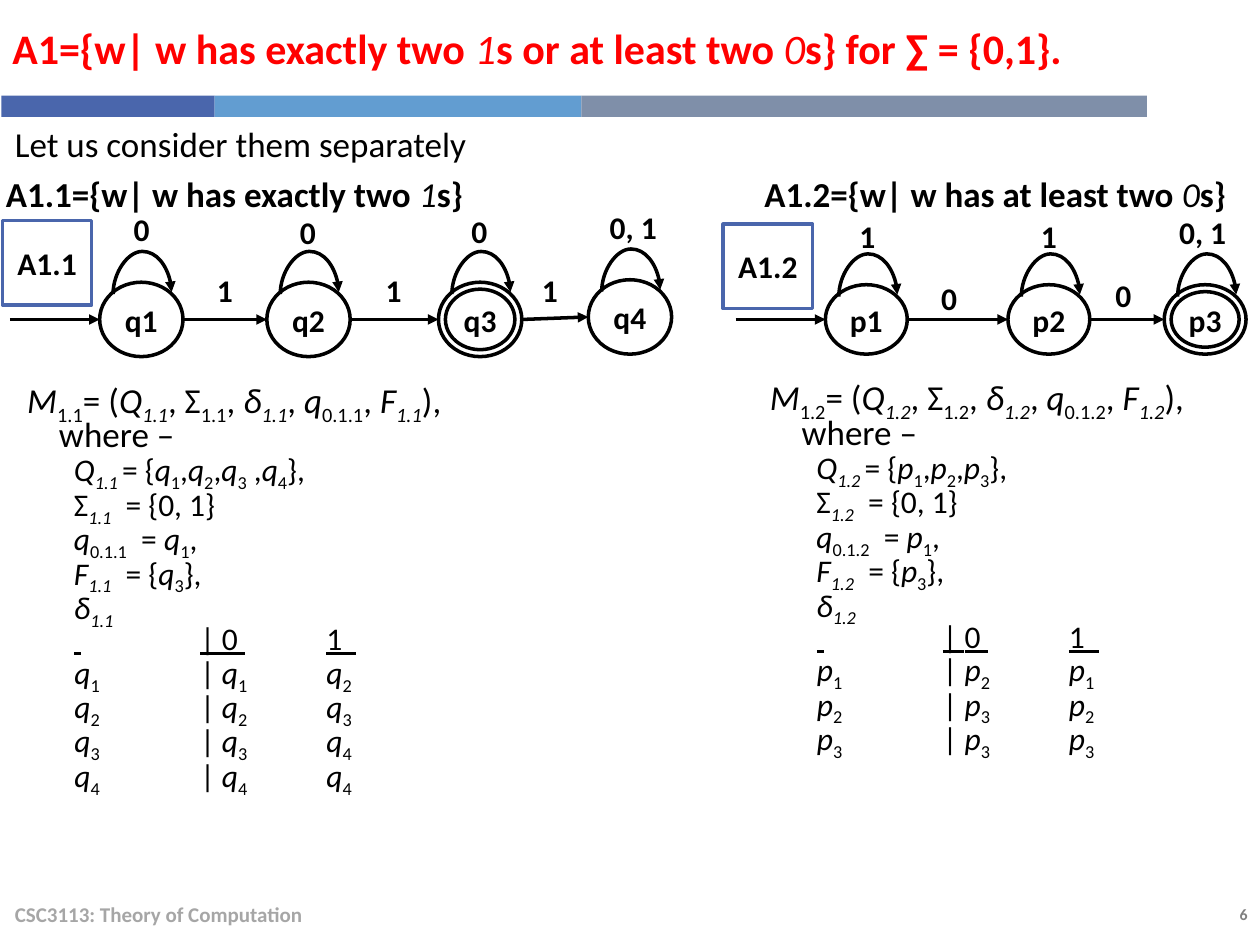
from dataclasses import dataclass
from typing import Optional

from lxml import etree
from pptx import Presentation
from pptx.dml.color import RGBColor
from pptx.enum import shapes, text
from pptx.oxml import ns
from pptx.util import Cm, Inches, Pt

BLACK = RGBColor(0x00, 0x00, 0x00)
WHITE = RGBColor(0xFF, 0xFF, 0xFF)
RED = RGBColor(0xFF, 0x00, 0x00)
BLUE = RGBColor(0x4A, 0x66, 0xAC)
SKY = RGBColor(0x62, 0x9D, 0xD1)
SLATE = RGBColor(0x7F, 0x8F, 0xA9)
GREY = RGBColor(0x80, 0x80, 0x80)
LIGHT_GREY = RGBColor(0xA6, 0xA6, 0xA6)
LEFT, CENTER, RIGHT = text.PP_ALIGN.LEFT, text.PP_ALIGN.CENTER, text.PP_ALIGN.RIGHT
TOP, MIDDLE = text.MSO_ANCHOR.TOP, text.MSO_ANCHOR.MIDDLE
OVAL, RECTANGLE = shapes.MSO_SHAPE.OVAL, shapes.MSO_SHAPE.RECTANGLE
STRAIGHT, CURVE = shapes.MSO_CONNECTOR.STRAIGHT, shapes.MSO_CONNECTOR.CURVE
LABEL_WIDTH, LABEL_HEIGHT = 1.65, 1.14


# All lengths in the data are centimetres
@dataclass
class Label:
    text: str
    left: float
    top: float


@dataclass
class State:
    name: str
    left: float
    top: float
    loop: Label
    accepting: bool = False


@dataclass
class Machine:
    tag: Label
    entry: float
    width: float
    height: float
    states: list[State]
    edges: list[Label]
    heading: str
    heading_left: float
    heading_width: float
    version: str
    letter: str
    table: list[tuple[int, int]]
    definition: tuple[float, float, float, float]


MACHINES = [
    Machine(Label("A1.1", 0.05, 4.45), 0.2, 1.68, 1.5,
            [State("q1", 2.01, 5.69, Label("0", 2.03, 4.04)),
             State("q2", 5.38, 5.69, Label("0", 5.38, 4.11)),
             State("q3", 8.84, 5.69, Label("0", 8.84, 4.09), True),
             State("q4", 11.86, 5.64, Label("0, 1", 11.94, 4.01))],
            [Label("1", left, 5.28) for left in (3.71, 7.11, 10.26)],
            "A1.1={w| w has exactly two #~1~#s}", -0.13, 10.36,
            "1.1", "q", [(1, 2), (2, 3), (3, 4), (4, 4)], (0.3, 7.59, 10.62, 7.8)),
    Machine(Label("A1.2", 14.58, 4.52), 14.83, 1.65, 1.4,
            [State("p1", 16.64, 5.74, Label("1", 16.66, 4.19)),
             State("p2", 20.32, 5.74, Label("1", 20.32, 4.19)),
             State("p3", 23.47, 5.74, Label("0, 1", 23.42, 4.11), True)],
            [Label("0", 18.31, 5.44), Label("0", 21.82, 5.38)],
            "A1.2={w| w has at least two #~0~#s}", 15.16, 10.1,
            "1.2", "p", [(2, 1), (3, 2), (3, 3)], (15.27, 7.54, 9.78, 7.19)),
]


def write_markup(paragraph, markup: str, size: float, color: RGBColor, bold: bool = False) -> None:
    """Marks toggle a style: ~ italic, ^ subscript, ` underline, # bold; a newline breaks."""
    styles = {"~": False, "^": False, "`": False, "#": bold}
    pending = ""

    def flush() -> None:
        if not pending:
            return
        run = paragraph.add_run()
        run.text = pending
        font = run.font
        font.name, font.size, font.color.rgb = "Calibri", Pt(size), color
        font.italic, font.underline, font.bold = styles["~"], styles["`"], styles["#"]
        if styles["^"]:
            font._element.set("baseline", "-25000")

    for mark in markup:
        if mark in styles or mark == "\n":
            flush()
            pending = ""
            if mark == "\n":
                paragraph.add_line_break()
            else:
                styles[mark] = not styles[mark]
        else:
            pending += mark
    flush()


def add_text(slide, markup: str, left: float, top: float, width: float, height: float,
             size: float, color: RGBColor = BLACK, bold: bool = True,
             align=LEFT, anchor=TOP, wrap: bool = True):
    frame = slide.shapes.add_textbox(Cm(left), Cm(top), Cm(width), Cm(height)).text_frame
    frame.word_wrap, frame.vertical_anchor = wrap, anchor
    paragraph = frame.paragraphs[0]
    paragraph.alignment = align
    write_markup(paragraph, markup, size, color, bold)
    return frame


def add_label(slide, label: Label) -> None:
    add_text(slide, label.text, label.left, label.top, LABEL_WIDTH, LABEL_HEIGHT, 18,
             align=CENTER, anchor=MIDDLE)


def add_box(slide, kind, left: float, top: float, width: float, height: float,
            fill: Optional[RGBColor], line: Optional[RGBColor] = None, name: str = "") -> None:
    shape = slide.shapes.add_shape(kind, Cm(left), Cm(top), Cm(width), Cm(height))
    shape.shadow.inherit = False
    if fill is None:
        shape.fill.background()
    else:
        shape.fill.solid()
        shape.fill.fore_color.rgb = fill
    if line is None:
        shape.line.fill.background()
    else:
        shape.line.color.rgb, shape.line.width = line, Pt(2)
    if name:
        frame = shape.text_frame
        frame.word_wrap, frame.vertical_anchor = False, MIDDLE
        frame.paragraphs[0].alignment = CENTER
        write_markup(frame.paragraphs[0], name, 18, BLACK, True)


def add_arrow(slide, kind, x1: float, y1: float, x2: float, y2: float):
    connector = slide.shapes.add_connector(kind, Cm(x1), Cm(y1), Cm(x2), Cm(y2))
    connector.line.color.rgb, connector.line.width = BLACK, Pt(2)
    etree.SubElement(connector.line._get_or_add_ln(), ns.qn("a:tailEnd"), type="triangle")
    etree.SubElement(connector._element.spPr, ns.qn("a:effectLst"))
    return connector


def add_loop(slide, state: State) -> None:
    """A curved connector turned by 90 degrees, arching above the state."""
    span, drop, rise = 1.18, 0.04, 0.86
    x, y = state.left + 0.27 + span / 2, state.top + 0.22
    connector = add_arrow(slide, CURVE, x + drop / 2, y + span / 2, x - drop / 2, y - span / 2)
    properties = connector._element.spPr
    properties.find(ns.qn("a:xfrm")).set("rot", "5400000")
    adjustments = properties.find(ns.qn("a:prstGeom")).find(ns.qn("a:avLst"))
    etree.SubElement(adjustments, ns.qn("a:gd"), name="adj1",
                     fmla=f"val {round(rise / drop * 100000)}")


def add_diagram(slide, machine: Machine) -> None:
    width, height, inset = machine.width, machine.height, 0.14
    add_box(slide, RECTANGLE, machine.tag.left, machine.tag.top, 1.8, 1.7, WHITE, BLUE,
            machine.tag.text)
    start, start_y = machine.entry, machine.states[0].top + height / 2
    for state in machine.states:
        middle = state.top + height / 2
        add_box(slide, OVAL, state.left, state.top, width, height, WHITE, BLACK, state.name)
        if state.accepting:
            add_box(slide, OVAL, state.left + inset, state.top + inset,
                    width - 2 * inset, height - 2 * inset, None, BLACK)
        add_arrow(slide, STRAIGHT, start, start_y, state.left, middle)
        add_loop(slide, state)
        add_label(slide, state.loop)
        start, start_y = state.left + width, middle
    for edge in machine.edges:
        add_label(slide, edge)


def add_definition(slide, machine: Machine) -> None:
    v, letter = machine.version, machine.letter
    names = [f"~{letter}~^{number}^" for number in range(1, len(machine.states) + 1)]
    final = next(name for name, state in zip(names, machine.states) if state.accepting)
    members = ",".join(names).replace(f",~{letter}~^4", f" ,~{letter}~^4")
    rows = [f"{name}^\t^| {names[zero - 1]}^\t^{names[one - 1]}"
            for name, (zero, one) in zip(names, machine.table)]
    header = "`~ \t~|~ ~0 \t1  `"
    opening = (f"~M~^{v}^= (~Q^{v}^~, Σ^{v}^, ~δ^{v}^~, ~q~^0.{v}^, ~F^{v}^~), \nwhere –")
    items = [f"~Q^{v} ^~= {{{members}}},", f"Σ~^{v}^~  = {{0, 1}}",
             f"~q~^0.{v}^  = {names[0]},", f"~F^{v}^~  = {{{final}}},", f"~δ^{v}^~"]
    table = ["\n".join([header] + rows[:3])] + rows[3:]

    frame = add_text(slide, opening, *machine.definition, 20, bold=False)
    for markup in items + table:
        write_markup(frame.add_paragraph(), markup, 18, BLACK)
    for index, paragraph in enumerate(frame.paragraphs):
        paragraph.line_spacing = 0.8
        paragraph.level = min(index, 1)
        in_table = index > len(items)
        margin = 0.95 if in_table else 1.58 if index else 0.64
        properties = paragraph._p.get_or_add_pPr()
        properties.set("marL", str(Cm(margin)))
        properties.set("indent", str(0 if in_table else -Cm(0.64)))
        properties.set("defTabSz", str(Inches(1)))


def main() -> None:
    presentation = Presentation()
    presentation.slide_width, presentation.slide_height = Cm(25.4), Cm(19.05)
    slide = presentation.slides.add_slide(presentation.slide_layouts[6])

    # Title, colour bar and footer
    title = add_text(slide, "A1={w| w has exactly two #~1~#s or at least two #~0~#s} for ∑ = {0,1}.",
                     0, 0, 23.11, 1.93, 24, RED, anchor=MIDDLE)
    title.paragraphs[0].space_before = Pt(6)
    for left, width, color in ((0.03, 4.3, BLUE), (4.33, 7.39, SKY), (11.72, 11.4, SLATE)):
        add_box(slide, RECTANGLE, left, 1.93, width, 0.43, color)
    add_text(slide, "CSC3113: Theory of Computation", 0.05, 17.91, 17.02, 1.02, 12,
             LIGHT_GREY, anchor=MIDDLE)
    add_text(slide, "6", 22.17, 18.11, 3.23, 0.64, 9, GREY, align=RIGHT)

    # Both machines: heading, diagram and formal definition
    add_text(slide, "Let us consider them separately", 0.05, 2.34, 10.87, 1.12, 20, bold=False)
    for machine in MACHINES:
        add_text(slide, machine.heading, machine.heading_left, 3.35, machine.heading_width, 1.12, 20)
        add_diagram(slide, machine)
        add_definition(slide, machine)

    presentation.save("out.pptx")


if __name__ == "__main__":
    main()
